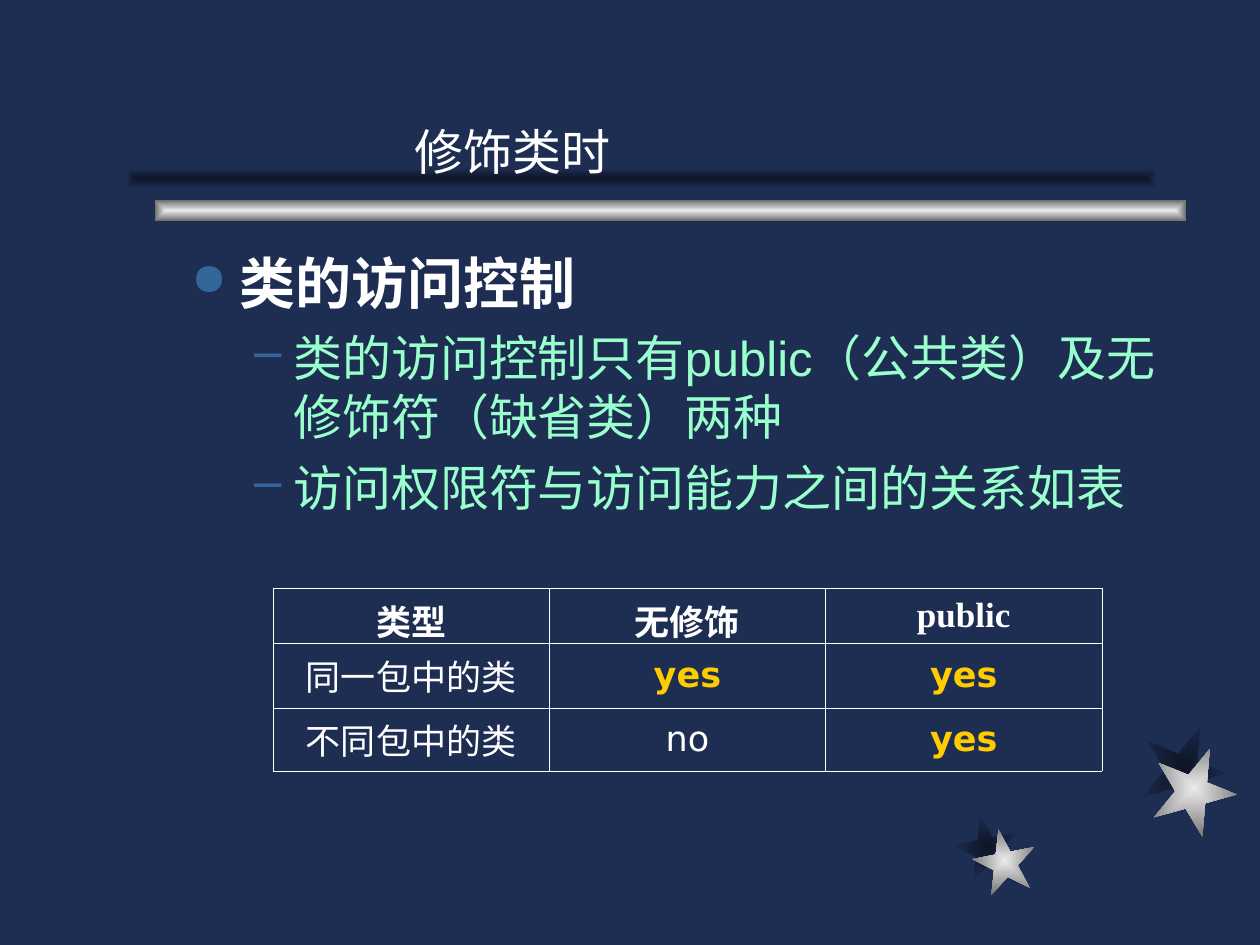
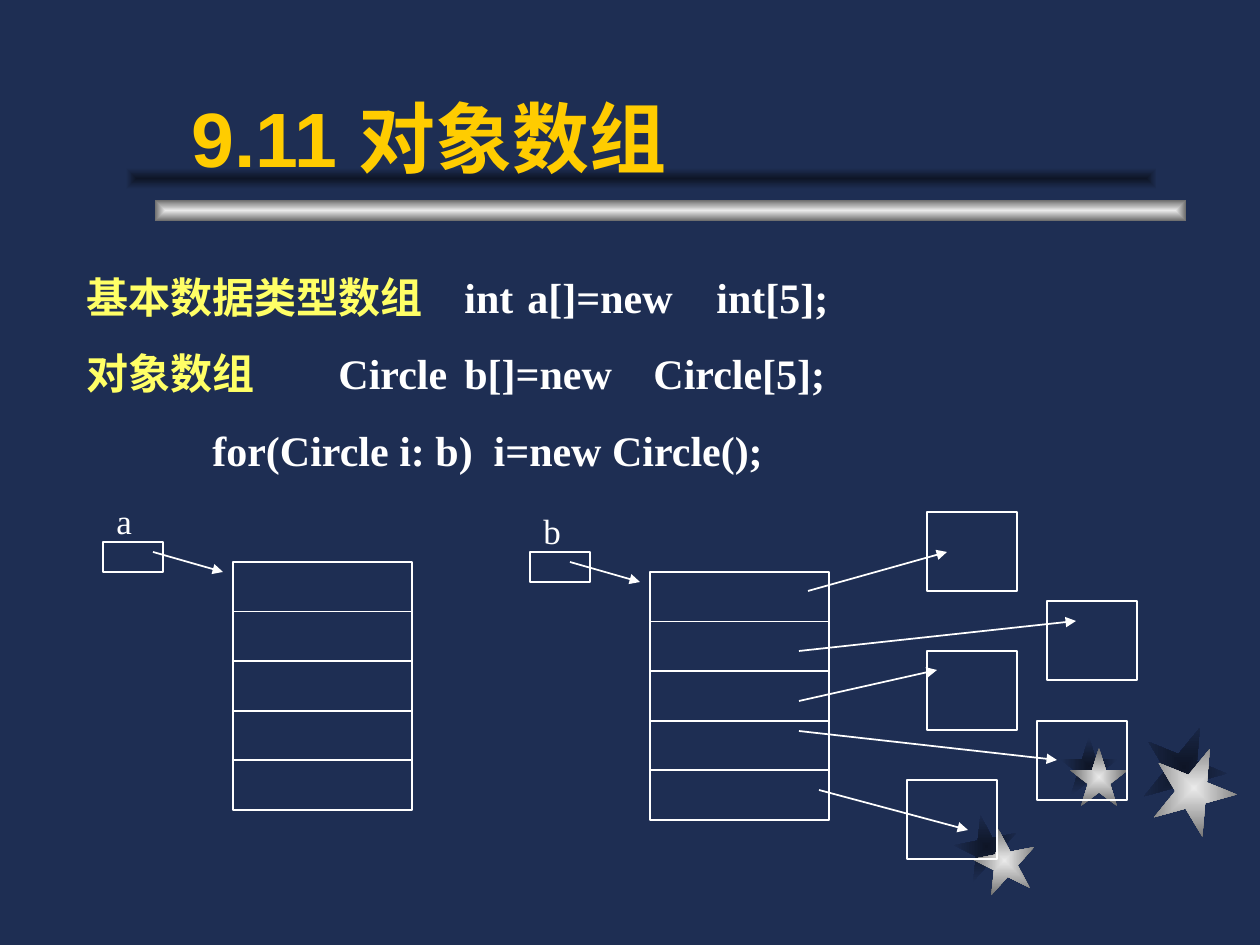
"""Build two slides on Java class access control and object arrays."""
from dataclasses import dataclass

from lxml.etree import SubElement
from pptx import Presentation
from pptx.dml.color import RGBColor
from pptx.enum.shapes import MSO_CONNECTOR as Connector, MSO_SHAPE as Shape
from pptx.enum.text import MSO_ANCHOR as Anchor, PP_ALIGN as Align
from pptx.oxml.ns import qn
from pptx.util import Emu, Pt

EMU_PER_PX = 914400 / 126


@dataclass(frozen=True)
class Theme:
    navy: str = "1E2E53"
    shade: str = "0E1526"
    silver: str = "EAEAEA"
    gray: str = "6C6C6C"
    white: str = "FFFFFF"
    gold: str = "FFCC00"
    yellow: str = "FFFF66"
    mint: str = "99FFCC"
    bullet: str = "336699"
    sans: str = "Arial"
    serif: str = "Times New Roman"
    table_font: str = "DejaVu Sans"
    title_size: int = 44
    heading_size: int = 32
    body_size: int = 28
    code_size: int = 24
    small_size: int = 20


THEME = Theme()
SHADOW_FILL = (THEME.shade, THEME.navy)
METAL_FILL = (THEME.silver, THEME.gray)
SMALL_STAR = ((955, 815), (973, 829), 63, -11)
MIDDLE_STAR = ((1060, 737), (1070, 748), 58, 0)
LARGE_STAR = ((1142, 725), (1152, 746), 84, 22)


def px(length):
    return Emu(round(length * EMU_PER_PX))


def scaled(*lengths):
    return [px(length) for length in lengths]


def rgb(color):
    return RGBColor.from_string(color)


def format_run(span, size, font, color, bold=False):
    span.font.size = Pt(size)
    span.font.name = font
    span.font.bold = bold
    span.font.color.rgb = rgb(color)


def add_text(page, area, text, anchor=Anchor.TOP):
    frame = page.shapes.add_textbox(*scaled(*area)).text_frame
    frame.word_wrap = True
    frame.vertical_anchor = anchor
    frame.text = text
    return frame


def add_line_of_text(page, area, text, size, font, color, bold=False, anchor=Anchor.TOP):
    frame = add_text(page, area, text, anchor)
    format_run(frame.paragraphs[0].runs[0], size, font, color, bold)


def add_gradient_shape(page, kind, area, colors, rotation=0):
    shape = page.shapes.add_shape(kind, *scaled(*area))
    shape.shadow.inherit = False
    shape.rotation = rotation
    shape.line.fill.background()
    shape.fill.gradient()
    for stop, color in zip(shape.fill.gradient_stops, colors):
        stop.color.rgb = rgb(color)
    gradient = shape._element.spPr.find(qn("a:gradFill"))
    gradient.remove(gradient.find(qn("a:lin")))
    center = SubElement(gradient, qn("a:path"), path="rect")
    SubElement(center, qn("a:fillToRect"), l="50000", t="50000", r="50000", b="50000")


def add_page(deck, stars):
    page = deck.slides.add_slide(deck.slide_layouts[6])
    page.background.fill.solid()
    page.background.fill.fore_color.rgb = rgb(THEME.navy)
    for layer, colors in enumerate((SHADOW_FILL, METAL_FILL)):
        for star in stars:
            size, rotation = star[2:]
            area = (*star[layer], size, size)
            add_gradient_shape(page, Shape.STAR_5_POINT, area, colors, rotation)
    add_gradient_shape(page, Shape.RECTANGLE, (155, 200, 1031, 21), METAL_FILL)
    add_gradient_shape(page, Shape.RECTANGLE, (126, 168, 1031, 21), SHADOW_FILL)
    return page


def add_bullet(para, symbol, left, hanging, percent):
    properties = para._p.get_or_add_pPr()
    properties.set("marL", str(px(left)))
    properties.set("indent", str(px(-hanging)))
    color = SubElement(properties, qn("a:buClr"))
    SubElement(color, qn("a:srgbClr"), val=THEME.bullet)
    SubElement(properties, qn("a:buSzPct"), val=str(percent * 1000))
    SubElement(properties, qn("a:buChar"), char=symbol)


def add_bullet_list(page, area, heading, points):
    frame = add_text(page, area, heading)
    first = frame.paragraphs[0]
    add_bullet(first, "●", 48, 48, 80)
    format_run(first.runs[0], THEME.heading_size, THEME.sans, THEME.white, True)
    for point in points:
        para = frame.add_paragraph()
        para.text = point
        para.level = 1
        add_bullet(para, "–", 102, 39, 100)
        para.space_before = Pt(7)
        format_run(para.runs[0], THEME.body_size, THEME.sans, THEME.mint)


def add_cell_borders(cell):
    properties = cell._tc.get_or_add_tcPr()
    for position, side in enumerate(("a:lnL", "a:lnR", "a:lnT", "a:lnB")):
        border = properties.makeelement(qn(side), {"w": str(Pt(0.45))})
        properties.insert(position, border)
        fill = SubElement(border, qn("a:solidFill"))
        SubElement(fill, qn("a:srgbClr"), val=THEME.white)


def fill_cell(cell, text, font, color, bold):
    cell.text = text
    cell.vertical_anchor = Anchor.MIDDLE
    cell.fill.background()
    add_cell_borders(cell)
    para = cell.text_frame.paragraphs[0]
    para.alignment = Align.CENTER
    format_run(para.runs[0], THEME.small_size, font, color, bold)


def add_access_table(page, area, row_heights, rows):
    table = page.shapes.add_table(len(rows), len(rows[0]), *scaled(*area)).table
    table.first_row = table.horz_banding = False
    for column in table.columns:
        column.width = px(area[2] / len(rows[0]))
    for row_index, (height, row) in enumerate(zip(row_heights, rows)):
        table.rows[row_index].height = px(height)
        for column_index, text in enumerate(row):
            header = row_index == 0
            allowed = text == "yes"
            font = THEME.serif if header and column_index else THEME.table_font
            color = THEME.gold if allowed else THEME.white
            fill_cell(table.cell(row_index, column_index), text, font, color, header or allowed)


def add_code_lines(page, area, lines):
    frame = add_text(page, area, "")
    for index, (label, code) in enumerate(lines):
        para = frame.add_paragraph() if index else frame.paragraphs[0]
        para.text = label
        if index:
            para.space_before = Pt(15)
        para.add_run().text = code
        for span, color in zip(para.runs, (THEME.yellow, THEME.white)):
            format_run(span, THEME.code_size, THEME.serif, color, True)


def add_frame(page, *area):
    box = page.shapes.add_shape(Shape.RECTANGLE, *scaled(*area))
    box.shadow.inherit = False
    box.fill.background()
    box.line.color.rgb = rgb(THEME.white)
    box.line.width = Pt(1)


def add_arrow(page, *ends):
    arrow = page.shapes.add_connector(Connector.STRAIGHT, *scaled(*ends))
    arrow.line.color.rgb = rgb(THEME.white)
    arrow.line.width = Pt(1)
    SubElement(arrow.line._get_or_add_ln(), qn("a:tailEnd"), type="triangle")
    SubElement(arrow._element.spPr, qn("a:effectLst"))


def add_array(page, name, variable_left, cells_left, top, count=5, height=248):
    label_area = (variable_left + 1, top - 49, 40, 55)
    add_line_of_text(page, label_area, name, THEME.small_size, THEME.serif, THEME.white)
    add_frame(page, variable_left, top, 60, 30)
    cell_height = height / count
    for index in range(count):
        add_frame(page, cells_left, top + 20 + index * cell_height, 179, cell_height)
    add_arrow(page, cells_left - 80, top + 10, cells_left - 10, top + 30)


def build_access_page(deck):
    page = add_page(deck, (SMALL_STAR, LARGE_STAR))
    add_line_of_text(page, (402, 115, 466, 72), "修饰类时", THEME.body_size, THEME.serif, THEME.white)
    add_bullet_list(page, (179, 242, 998, 325), "类的访问控制", (
        "类的访问控制只有public（公共类）及无修饰符（缺省类）两种",
        "访问权限符与访问能力之间的关系如表",
    ))
    add_access_table(page, (273, 588, 829, 183), (55, 65, 63), (
        ("类型", "无修饰", "public"),
        ("同一包中的类", "yes", "yes"),
        ("不同包中的类", "no", "yes"),
    ))


def build_array_page(deck):
    page = add_page(deck, (SMALL_STAR, MIDDLE_STAR, LARGE_STAR))
    add_line_of_text(page, (179, 32, 987, 157), "9.11 对象数组", THEME.title_size,
                     THEME.sans, THEME.gold, True, Anchor.BOTTOM)
    add_code_lines(page, (74, 265, 1101, 217), (
        ("基本数据类型数组\t", "int \ta[]=new \tint[5];"),
        ("对象数组\t\t", "Circle \tb[]=new \tCircle[5];"),
        ("\t\t", "for(Circle i: b)  i=new Circle();"),
    ))
    add_array(page, "a", 103, 233, 542)
    add_array(page, "b", 530, 650, 552)
    for left, top in ((927, 512), (1047, 601), (927, 651), (1037, 721), (907, 780)):
        add_frame(page, left, top, 90, 79)
    for ends in ((808, 591, 947, 552), (799, 651, 1076, 621), (799, 701, 937, 670),
                 (799, 731, 1057, 760), (819, 790, 968, 830)):
        add_arrow(page, *ends)


def main():
    deck = Presentation()
    deck.slide_width, deck.slide_height = scaled(1260, 945)
    build_access_page(deck)
    build_array_page(deck)
    deck.save("out.pptx")


if __name__ == "__main__":
    main()
